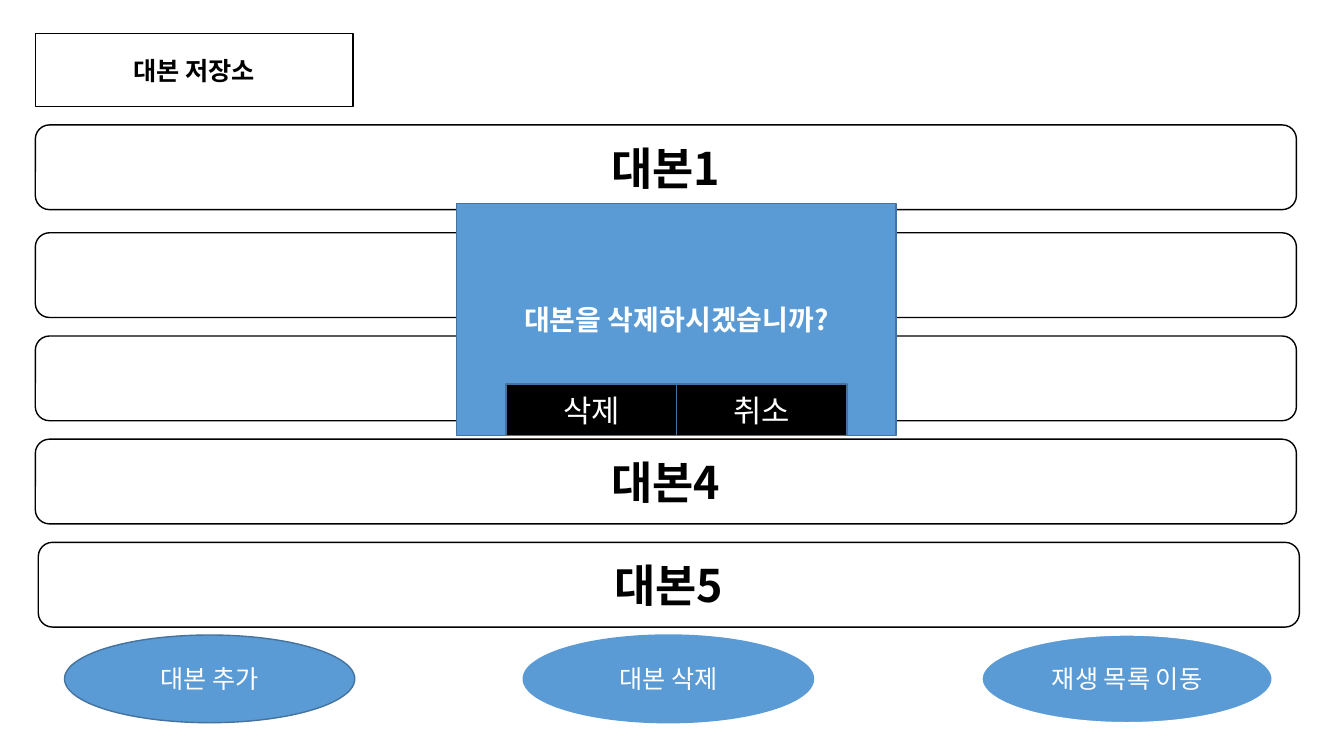
from pptx import Presentation
from pptx.dml.color import RGBColor
from pptx.enum.shapes import MSO_SHAPE as Preset
from pptx.enum.text import MSO_ANCHOR as Anchor, PP_ALIGN as Align
from pptx.oxml.ns import qn
from pptx.util import Inches, Pt
from lxml.etree import SubElement

WIDTH, HEIGHT = Inches(13.33), Inches(7.5)
FONT = "Noto Sans CJK KR"
WHITE, BLACK, BLUE, NAVY = "FFFFFF", "000000", "5B9BD5", "43739E"


def paint(color_format, color):
    """Set a colour from its hex string."""
    color_format.rgb = RGBColor.from_string(color)


def write(shape, label, size, color, bold):
    """Put a centred label into a shape."""
    shape.text_frame.word_wrap = True
    shape.text_frame.vertical_anchor = Anchor.MIDDLE
    paragraph = shape.text_frame.paragraphs[0]
    paragraph.text = label
    paragraph.alignment = Align.CENTER
    font = paragraph.font
    font.size, font.bold, font.name = Pt(size), bold, FONT
    paint(font.color, color)
    defaults = paragraph._p.pPr.find(qn("a:defRPr"))
    latin = defaults.find(qn("a:latin"))
    east_asian = SubElement(defaults, qn("a:ea"), typeface=FONT)
    latin.addnext(east_asian)


def add_box(slide, preset, label, area, fill, line, size, color=WHITE, bold=False):
    """Draw a labelled shape; area is left, top, width, height in slide percent."""
    left, top, width, height = (
        round(share * side / 100)
        for share, side in zip(area, (WIDTH, HEIGHT, WIDTH, HEIGHT))
    )
    box = slide.shapes.add_shape(preset, left, top, width, height)
    box.shadow.inherit = False
    box.fill.solid()
    paint(box.fill.fore_color, fill)
    paint(box.line.color, line)
    box.line.width = Pt(1)
    write(box, label, size, color, bold)


def add_script_list(slide):
    """Draw the heading and the five script rows."""
    add_box(slide, Preset.RECTANGLE, "대본 저장소", (2.63, 4.4, 23.63, 9.73),
            WHITE, BLACK, 18, BLACK, True)
    lefts = (2.63, 2.63, 2.63, 2.63, 2.85)
    tops = [16.53] + [30.8 + 13.65 * step for step in range(4)]
    for number, (left, top) in enumerate(zip(lefts, tops), 1):
        add_box(slide, Preset.ROUNDED_RECTANGLE, f"대본{number}",
                (left, top, 93.83, 11.2), WHITE, BLACK, 32, BLACK, True)


def add_actions(slide):
    """Draw the three oval buttons along the bottom."""
    actions = (("대본 추가", NAVY), ("대본 삭제", BLUE), ("재생 목록 이동", WHITE))
    for column, (label, outline) in enumerate(actions):
        add_box(slide, Preset.OVAL, label, (4.8 + 34.13 * column, 84, 21.6, 11.6),
                BLUE, outline, 18)


def add_delete_dialog(slide):
    """Draw the delete question with its two answers."""
    add_box(slide, Preset.RECTANGLE, "대본을 삭제하시겠습니까?",
            (33.98, 26.93, 32.7, 30.67), BLUE, NAVY, 20, bold=True)
    for column, answer in enumerate(("삭제", "취소")):
        add_box(slide, Preset.RECTANGLE, answer,
                (37.66 + 12.68 * column, 50.8, 12.68, 6.8), BLACK, NAVY, 22)


def main():
    """Build and save the script storage screen."""
    deck = Presentation()
    deck.slide_width, deck.slide_height = WIDTH, HEIGHT
    slide = deck.slides.add_slide(deck.slide_layouts[6])
    add_script_list(slide)
    add_actions(slide)
    add_delete_dialog(slide)
    deck.save("out.pptx")


main()
